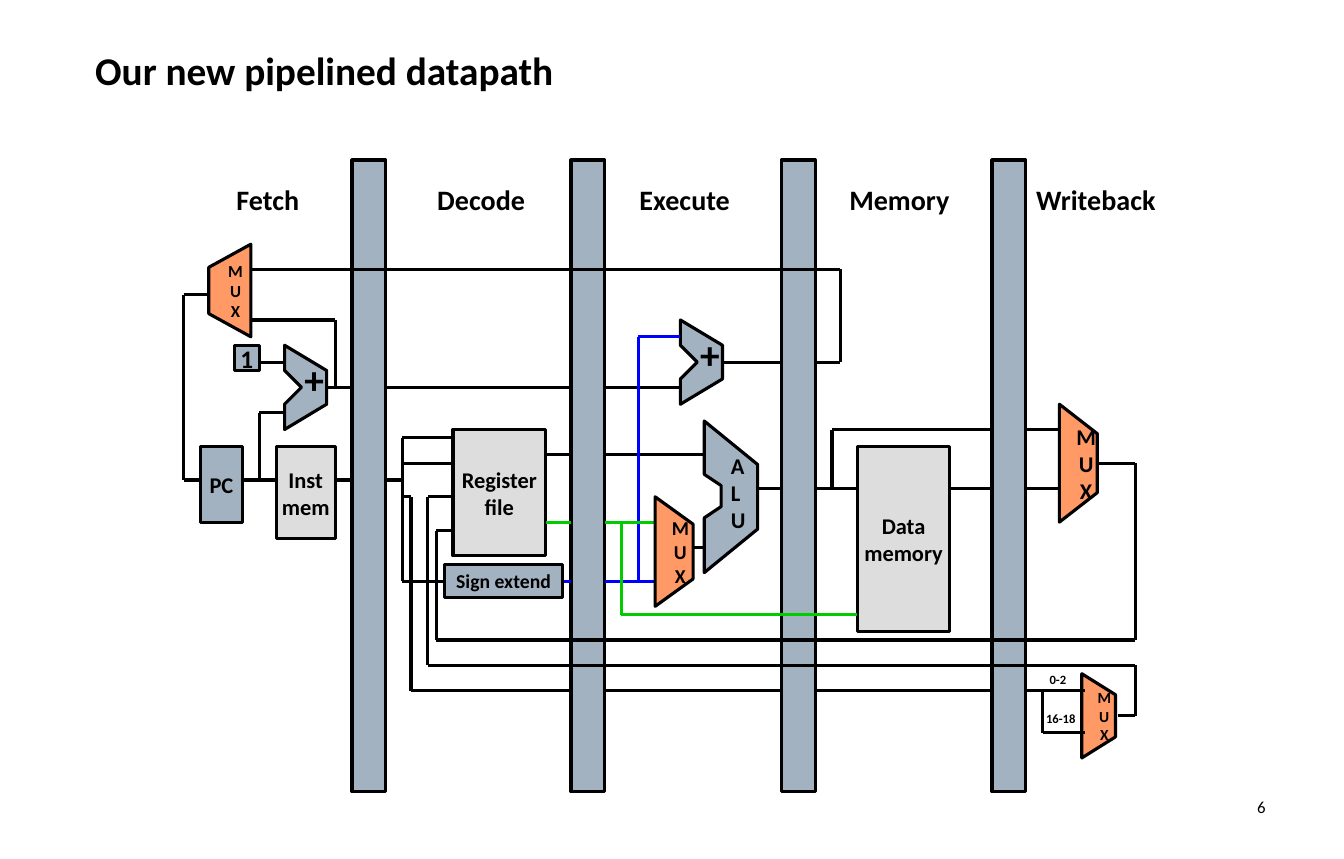
from lxml import etree
from pptx import Presentation
from pptx.dml.color import RGBColor
from pptx.enum.shapes import MSO_CONNECTOR, MSO_SHAPE
from pptx.enum.text import MSO_ANCHOR, PP_ALIGN
from pptx.oxml.ns import qn
from pptx.util import Pt

RECT = MSO_SHAPE.RECTANGLE
STRAIGHT = MSO_CONNECTOR.STRAIGHT
MIDDLE = MSO_ANCHOR.MIDDLE
LEFT, CENTER, RIGHT = PP_ALIGN.LEFT, PP_ALIGN.CENTER, PP_ALIGN.RIGHT

COLORS = {
    "black": "000000",
    "steel": "A3B2C1",
    "gray": "DDDDDD",
    "orange": "FF9966",
    "blue": "0000FF",
    "green": "00CC00",
}


class Datapath:
    font = "Calibri"
    stroke = 2.25
    shift = -1.2

    def __init__(self, slide):
        self.shapes = slide.shapes

    def x(self, value):
        return Pt(value + self.shift)

    def color(self, name):
        return RGBColor.from_string(COLORS[name])

    def outline(self, sp, fill):
        sp.shadow.inherit = False
        sp.fill.solid()
        sp.fill.fore_color.rgb = self.color(fill)
        sp.line.color.rgb = self.color("black")
        sp.line.width = Pt(self.stroke)

    def set_text(self, sp, text, size, align=CENTER, bold=True):
        tf = sp.text_frame
        tf.word_wrap = True
        tf.vertical_anchor = MIDDLE
        tf.margin_left = tf.margin_right = tf.margin_top = tf.margin_bottom = 0
        tf.text = text
        for p in tf.paragraphs:
            p.alignment = align
            p.font.name = self.font
            p.font.size = Pt(size)
            p.font.bold = bold
            p.font.color.rgb = self.color("black")

    def box(self, left, top, width, height, fill, text="", size=16):
        sp = self.shapes.add_shape(RECT, self.x(left), Pt(top), Pt(width), Pt(height))
        self.outline(sp, fill)
        if text:
            self.set_text(sp, text, size)

    def label(self, x, middle, text, size, width=120, align=CENTER, bold=True):
        left = {LEFT: x, CENTER: x - width / 2, RIGHT: x - width}[align]
        height = 1.25 * size * len(text.split("\n"))
        sp = self.shapes.add_textbox(
            self.x(left), Pt(middle - height / 2), Pt(width), Pt(height))
        self.set_text(sp, text, size, align, bold)

    def polygon(self, points, fill):
        points = [(self.x(x), Pt(y)) for x, y in points]
        builder = self.shapes.build_freeform(*points[0])
        builder.add_line_segments(points[1:], close=True)
        self.outline(builder.convert_to_shape(), fill)

    def adder(self, left, top):
        offsets = [(0, 0), (30, 18), (30, 42), (0, 60), (0, 42), (12, 30), (0, 18)]
        self.polygon([(left + dx, top + dy) for dx, dy in offsets], "steel")
        self.label(left + 21, top + 24, "+", 28, width=28)

    def mux(self, wide, narrow, top, height, text_x, size):
        bottom, slope = top + height, height / 4
        self.polygon([(wide, top), (narrow, top + slope),
                      (narrow, bottom - slope), (wide, bottom)], "orange")
        self.label(text_x, top + height / 2, "M\nU\nX", size, width=24)

    def wire(self, *points, color="black"):
        for (x1, y1), (x2, y2) in zip(points, points[1:]):
            c = self.shapes.add_connector(STRAIGHT, self.x(x1), Pt(y1), self.x(x2), Pt(y2))
            c.line.color.rgb = self.color(color)
            c.line.width = Pt(self.stroke)
            etree.SubElement(c._element.spPr, qn("a:effectLst"))


def main():
    prs = Presentation()
    prs.slide_width, prs.slide_height = Pt(957.6), Pt(612)
    s = Datapath(prs.slides.add_slide(prs.slide_layouts[6]))

    s.label(69, 50, "Our new pipelined datapath", 28, width=838, align=LEFT)
    s.label(903, 575, "6", 12, width=60, align=RIGHT, bold=False)

    stages = [("Fetch", 192), ("Decode", 344), ("Execute", 489),
              ("Memory", 642), ("Writeback", 782)]
    for name, center in stages:
        s.label(center, 142, name, 20)

    for left in (252, 408, 558, 708):
        s.box(left, 114, 24, 450, "steel")

    s.box(144, 318, 30, 54, "steel", "PC")
    s.box(198, 318, 42, 66, "gray", "Inst\nmem")
    s.box(324, 306, 66, 90, "gray", "Register\nfile")
    s.box(612, 318, 66, 132, "gray", "Data\nmemory")
    s.box(168, 246, 18, 18, "steel", "1", 18)
    s.adder(204, 246)
    s.adder(486, 228)
    s.polygon([(503, 300), (541, 331), (541, 377), (503, 408), (503, 369),
               (515, 361), (515, 346), (503, 338)], "steel")
    s.label(522, 351, "A\nL\nU", 16, width=20, align=LEFT)
    s.mux(772, 796, 480, 60, 788, 11)

    wires = [
        [(240, 342), (252, 342)],
        [(234, 276), (252, 276)],
        [(240, 276), (240, 228), (174, 228)],
        [(186, 258), (204, 258)],
        [(174, 342), (198, 342)],
        [(186, 342), (186, 294), (204, 294)],
        [(144, 342), (132, 342), (132, 210), (150, 210)],
        [(276, 342), (288, 342)],
        [(324, 312), (288, 312), (288, 414), (324, 414)],
        [(288, 330), (324, 330)],
        [(390, 324), (408, 324)],
        [(432, 324), (503, 324)],
        [(276, 276), (408, 276)],
        [(432, 276), (486, 276)],
        [(492, 390), (503, 390)],
        [(540, 348), (558, 348)],
        [(516, 258), (558, 258)],
        [(582, 348), (612, 348)],
        [(594, 348), (594, 306), (708, 306)],
        [(678, 348), (708, 348)],
        [(732, 348), (756, 348)],
        [(732, 306), (756, 306)],
        [(780, 330), (810, 330), (810, 456), (312, 456), (312, 378), (324, 378)],
        [(324, 354), (306, 354), (306, 474), (810, 474), (810, 510), (798, 510)],
        [(288, 354), (294, 354), (294, 492), (408, 492)],
        [(432, 492), (558, 492)],
        [(582, 492), (708, 492)],
        [(732, 492), (774, 492)],
        [(744, 492), (744, 522), (774, 522)],
        [(582, 258), (600, 258), (600, 192), (174, 192)],
    ]
    for points in wires:
        s.wire(*points)

    s.wire((390, 414), (408, 414), color="blue")
    s.wire((432, 414), (468, 414), color="blue")
    s.wire((456, 414), (456, 240), (486, 240), color="blue")
    s.wire((390, 372), (408, 372), color="green")
    s.wire((432, 372), (486, 372), color="green")
    s.wire((444, 372), (444, 438), (612, 438), color="green")

    s.label(755, 484, "0-2", 9, width=30)
    s.label(757, 512, "16-18", 9, width=30)
    s.box(318, 402, 84, 24, "steel", "Sign extend", 14)
    s.mux(180, 150, 174, 66, 169, 12)
    s.mux(756, 783, 288, 84, 775, 16)
    s.mux(468, 495, 354, 78, 486, 14)

    prs.save("out.pptx")


if __name__ == "__main__":
    main()
